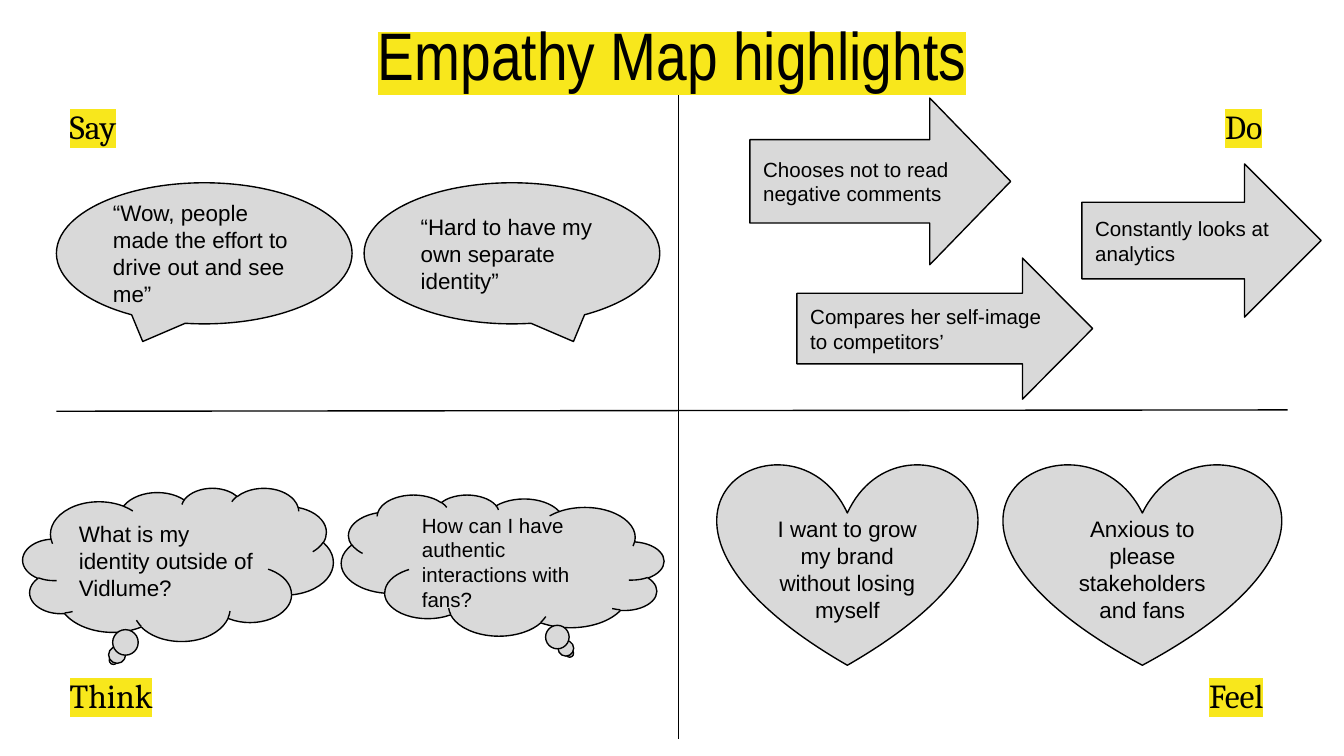
from lxml import etree
from pptx import Presentation
from pptx.dml.color import RGBColor
from pptx.enum.shapes import MSO_CONNECTOR, MSO_SHAPE
from pptx.enum.text import MSO_ANCHOR, PP_ALIGN
from pptx.oxml.ns import qn
from pptx.util import Inches, Pt

BLACK = RGBColor(0x00, 0x00, 0x00)
GREY = RGBColor(0xD9, 0xD9, 0xD9)
YELLOW = RGBColor(0xF8, 0xE7, 0x1C)
LEFT, CENTER, RIGHT = PP_ALIGN.LEFT, PP_ALIGN.CENTER, PP_ALIGN.RIGHT
TOP, MIDDLE = MSO_ANCHOR.TOP, MSO_ANCHOR.MIDDLE
SPEECH = MSO_SHAPE.OVAL_CALLOUT
CLOUD = MSO_SHAPE.CLOUD_CALLOUT
ARROW = MSO_SHAPE.RIGHT_ARROW
HEART = MSO_SHAPE.HEART
SLIDE_WIDTH = Inches(10)
SLIDE_HEIGHT = SLIDE_WIDTH * 9 // 16
INSET = 0.1
LINE_WIDTH = 0.75
TAIL = (-0.208, 0.625)

TITLE = "Empathy Map highlights"

# Quadrant label, (left, top, width, height), alignment
LABELS = [
    ("Say", (0.42, 0.61, 0.63, 0.66), LEFT),
    ("Do", (8.93, 0.61, 0.56, 0.66), RIGHT),
    ("Think", (0.42, 4.84, 1.03, 0.66), LEFT),
    ("Feel", (8.23, 4.84, 1.27, 0.66), RIGHT),
]

# Start and end of the two axes
AXES = [((5.05, 0.61), (5.05, 5.5)), ((9.58, 3.05), (0.42, 3.06))]

# Text, shape, (left, top, width, height), adjustments, font size, mirrored
NOTES = [
    ("“Wow, people made the effort to drive out and see me”",
     SPEECH, (0.42, 1.36, 2.2, 1.05), TAIL, 12, False),
    ("“Hard to have my own separate identity”",
     SPEECH, (2.71, 1.36, 2.2, 1.05), TAIL, 12, True),
    ("What is my identity outside of Vidlume?",
     CLOUD, (0.17, 3.63, 2.31, 1.14), TAIL, 12, False),
    ("How can I have authentic interactions with fans?",
     CLOUD, (2.54, 3.68, 2.4, 1.05), TAIL, 11, True),
    ("Chooses not to read negative comments",
     ARROW, (5.58, 0.73, 1.94, 1.24), (0.5, 0.485), 11, False),
    ("Compares her self-image to competitors’",
     ARROW, (5.93, 1.92, 2.2, 1.05), (0.5, 0.497), 11, False),
    ("Constantly looks at analytics",
     ARROW, (8.05, 1.22, 1.78, 1.14), (0.5, 0.5), 11, False),
    ("Anxious to please stakeholders and fans",
     HEART, (7.47, 3.44, 2.06, 1.51), (), 12, False),
    ("I want to grow my brand without losing myself",
     HEART, (5.34, 3.44, 1.93, 1.51), (), 12, False),
]


def write_text(shape, text, *, size, font="Arial", align=LEFT, anchor=MIDDLE,
               top_inset=INSET, highlight=None):
    frame = shape.text_frame
    frame.word_wrap = True
    frame.vertical_anchor = anchor
    frame.margin_left = frame.margin_right = frame.margin_bottom = Inches(INSET)
    frame.margin_top = Inches(top_inset)
    paragraph = frame.paragraphs[0]
    paragraph.alignment = align
    run = paragraph.add_run()
    run.text = text
    run.font.size = Pt(size)
    run.font.name = font
    run.font.color.rgb = BLACK
    if highlight is not None:
        mark = etree.Element(qn("a:highlight"))
        etree.SubElement(mark, qn("a:srgbClr")).set("val", str(highlight))
        run.font._element.find(qn("a:solidFill")).addnext(mark)


def add_label(slide, text, box, **text_format):
    label = slide.shapes.add_textbox(*map(Inches, box))
    write_text(label, text, highlight=YELLOW, **text_format)


def add_axis(slide, start, end):
    axis = slide.shapes.add_connector(
        MSO_CONNECTOR.STRAIGHT, *map(Inches, start + end))
    axis.line.color.rgb = BLACK
    axis.line.width = Pt(LINE_WIDTH)
    etree.SubElement(axis._element.spPr, qn("a:effectLst"))


def add_note(slide, text, kind, box, adjustments, size, mirrored):
    note = slide.shapes.add_shape(kind, *map(Inches, box))
    note.shadow.inherit = False
    note.fill.solid()
    note.fill.fore_color.rgb = GREY
    note.line.color.rgb = BLACK
    note.line.width = Pt(LINE_WIDTH)
    for index, value in enumerate(adjustments):
        note.adjustments[index] = value
    if mirrored:
        note._element.spPr.find(qn("a:xfrm")).set("flipH", "1")
    # Heart text sits one line lower, below the notch
    is_heart = kind == HEART
    write_text(note, text, size=size, align=CENTER if is_heart else LEFT,
               top_inset=INSET + 0.2 if is_heart else INSET)


def main():
    presentation = Presentation()
    presentation.slide_width = SLIDE_WIDTH
    presentation.slide_height = SLIDE_HEIGHT
    slide = presentation.slides.add_slide(presentation.slide_layouts[6])

    # Axes, quadrant labels and title
    for start, end in AXES:
        add_axis(slide, start, end)
    for text, box, align in LABELS:
        add_label(slide, text, box, size=18, font="Cambria", align=align)
    add_label(slide, TITLE, (0.34, 0, 9.32, 0.66), size=36,
              font="Arial Narrow", align=CENTER, anchor=TOP)

    # Speech bubbles, thought clouds, arrows and hearts
    for note in NOTES:
        add_note(slide, *note)

    presentation.save("out.pptx")


if __name__ == "__main__":
    main()
